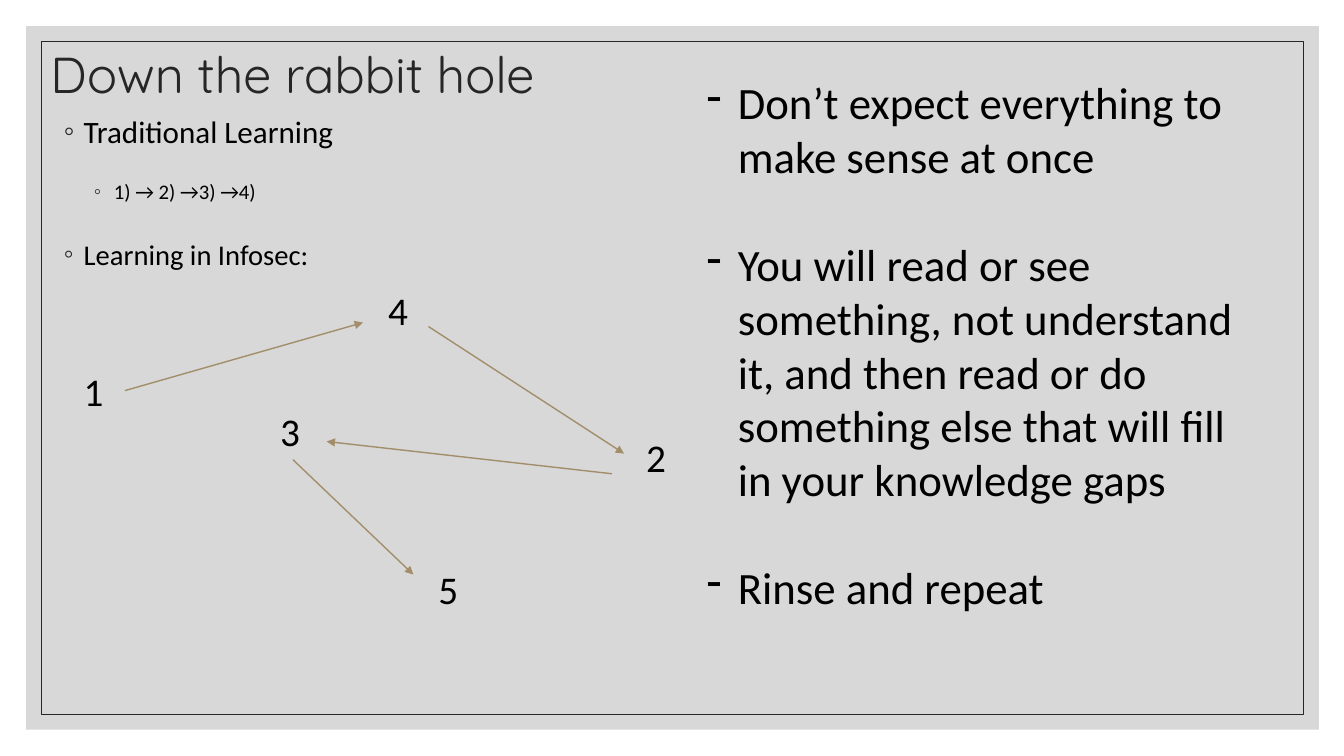
from lxml import etree
from pptx import Presentation
from pptx.dml.color import RGBColor
from pptx.enum.shapes import MSO_CONNECTOR as Conn, MSO_SHAPE as Shape
from pptx.enum.text import MSO_ANCHOR as Anchor, MSO_AUTO_SIZE as Fit, PP_ALIGN as Align
from pptx.oxml.ns import qn
from pptx.util import Inches, Pt

COLORS = {"panel": "BFBFBF", "dark": "262626", "text": "000000", "arrow": "A28E6A"}
BOTTOM, RIGHT = 2, 3


def rgb(name):
    return RGBColor.from_string(COLORS[name])


def place(shape, box):
    shape.left, shape.top, shape.width, shape.height = map(Inches, box)


def style(para, size, color="text", font="Calibri"):
    for run in para.runs:
        run.font.size, run.font.name = Pt(size), font
        run.font.color.rgb = rgb(color)


def bullet(para, mark, left, hang, color):
    props = para._p.get_or_add_pPr()
    props.set("marL", str(Inches(left)))
    props.set("indent", str(-Inches(hang)))
    tint = etree.SubElement(props, qn("a:buClr"))
    etree.SubElement(tint, qn("a:srgbClr"), val=COLORS[color])
    etree.SubElement(props, qn("a:buChar"), char=mark)


def add_text(slide, box, lines, size):
    shape = slide.shapes.add_textbox(*map(Inches, box))
    frame = shape.text_frame
    frame.word_wrap = True
    frame.text = "\n".join(lines)
    for para in frame.paragraphs:
        style(para, size)
    return shape


# Grey panel with a thin inner border, behind everything else
def add_frame(slide, box, inset):
    x, y, w, h = box
    inner = (x + inset, y + inset, w - 2 * inset, h - 2 * inset)
    panel, border = [slide.shapes.add_shape(Shape.RECTANGLE, *map(Inches, area))
                     for area in (box, inner)]
    panel.fill.solid()
    panel.fill.fore_color.rgb = rgb("panel")
    tint = panel._element.spPr.find(".//" + qn("a:srgbClr"))
    etree.SubElement(tint, qn("a:alpha"), val="60000")
    panel.line.fill.background()
    border.fill.background()
    border.line.color.rgb = rgb("dark")
    border.line.width = Pt(0.5)
    for shape in (border, panel):
        shape.shadow.inherit = False
        slide.shapes._spTree.insert(2, shape._element)


def add_title(slide, box):
    title = slide.shapes.title
    place(title, box)
    frame = title.text_frame
    frame.text = "Down the rabbit hole"
    frame.vertical_anchor, frame.auto_size = Anchor.MIDDLE, Fit.NONE
    para = frame.paragraphs[0]
    para.alignment, para.line_spacing = Align.LEFT, 0.9
    style(para, 36, "dark", "Quicksand")


# Two ways of learning
def add_body(slide, box):
    body = slide.placeholders[1]
    place(body, box)
    frame = body.text_frame
    # text, level, size, space before
    items = [("Traditional Learning", 0, 22.2, 9),
             ("1) → 2) →3) →4)", 1, 14.8, 24.4),
             ("Learning in Infosec:", 0, 20.4, 28.4)]
    frame.text = "\n".join(item[0] for item in items)
    frame.vertical_anchor, frame.auto_size = Anchor.TOP, Fit.NONE
    for para, (_, level, size, gap) in zip(frame.paragraphs, items):
        para.level, para.line_spacing, para.space_before = level, 0.8, Pt(gap)
        bullet(para, "◦", 0.2 + 0.3 * level, 0.2, "dark")
        style(para, size)


def add_arrow(slide, start, end):
    line = slide.shapes.add_connector(Conn.STRAIGHT, *map(Inches, start + end))
    line.line.color.rgb = rgb("arrow")
    line.line.width = Pt(1)
    etree.SubElement(line.line._get_or_add_ln(), qn("a:tailEnd"), type="triangle")
    etree.SubElement(line._element.spPr, qn("a:effectLst"))
    return line


# Numbers out of order, linked by arrows; places count from the box corner
def add_path(slide, box):
    x, y = box[:2]
    spots = {"1": (0, 0.8, 0.51), "2": (5.58, 1.46, 0.45), "3": (1.95, 1.2, 0.45),
             "4": (3.02, 0, 0.45), "5": (3.52, 2.77, 0.45)}
    nodes = {num: add_text(slide, (x + dx, y + dy, wide, 0.57), [num], 28)
             for num, (dx, dy, wide) in spots.items()}
    # start, end, joined number and side
    links = [((0.5, 1.08), (2.87, 0.41), ("1", RIGHT)),
             ((3.52, 0.45), (5.46, 1.71), None),
             ((5.34, 1.91), (2.51, 1.59), None),
             ((2.18, 1.77), (3.37, 2.91), ("3", BOTTOM))]
    for start, end, join in links:
        line = add_arrow(slide, (x + start[0], y + start[1]), (x + end[0], y + end[1]))
        if join:
            line.begin_connect(nodes[join[0]], join[1])


def add_advice(slide, box):
    lines = ["Don’t expect everything to make sense at once",
             "You will read or see something, not understand it, and then read "
             "or do something else that will fill in your knowledge gaps",
             "Rinse and repeat"]
    shape = add_text(slide, box, lines, 32)
    for i, para in enumerate(shape.text_frame.paragraphs):
        para.space_before = Pt(39 if i else 0)
        bullet(para, "-", 0.31, 0.31, "text")


def main():
    deck = Presentation()
    deck.slide_width, deck.slide_height = Inches(13.33), Inches(7.5)
    slide = deck.slides.add_slide(deck.slide_layouts[1])
    add_frame(slide, (0.26, 0.26, 12.82, 6.98), 0.15)
    add_title(slide, (0.4, 0.42, 5.58, 0.7))
    add_body(slide, (0.53, 1.14, 4.13, 1.62))
    add_path(slide, (0.73, 2.79, 6.03, 3.34))
    add_advice(slide, (6.91, 0.69, 5.73, 5.49))
    deck.save("out.pptx")


if __name__ == "__main__":
    main()
